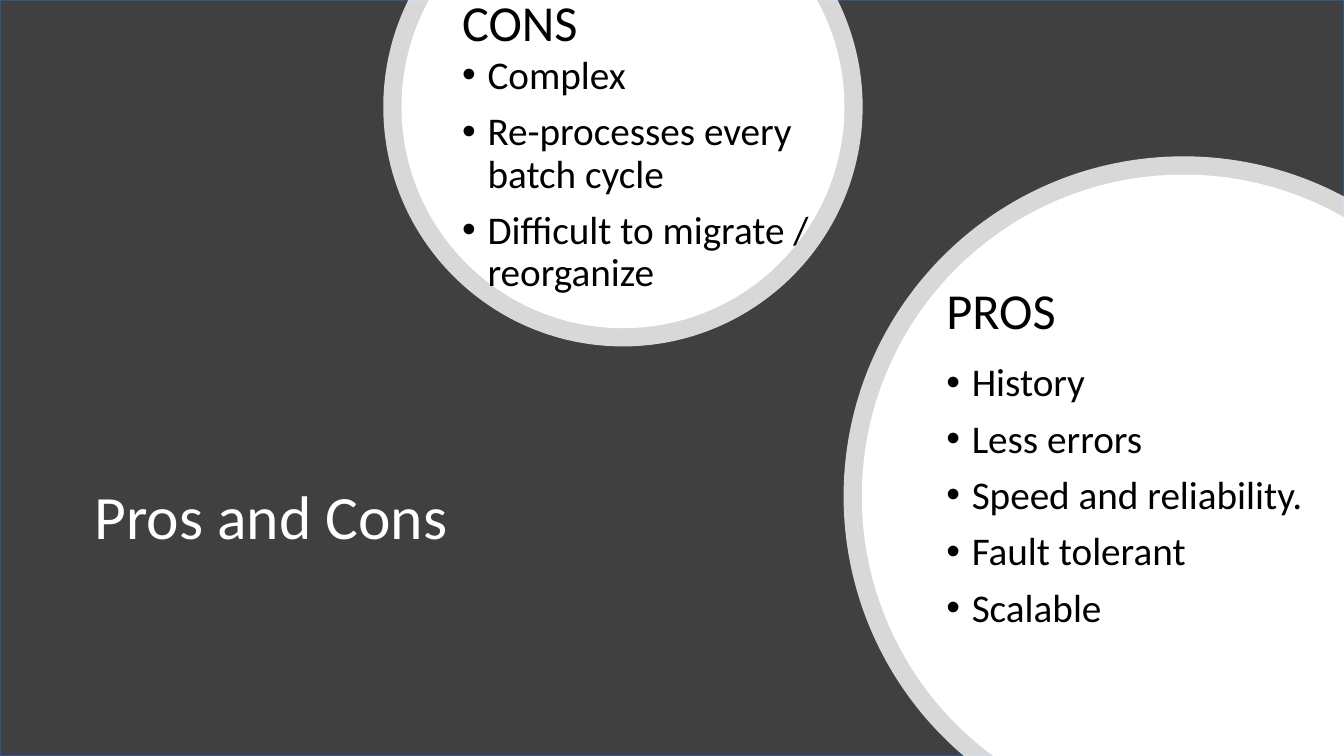
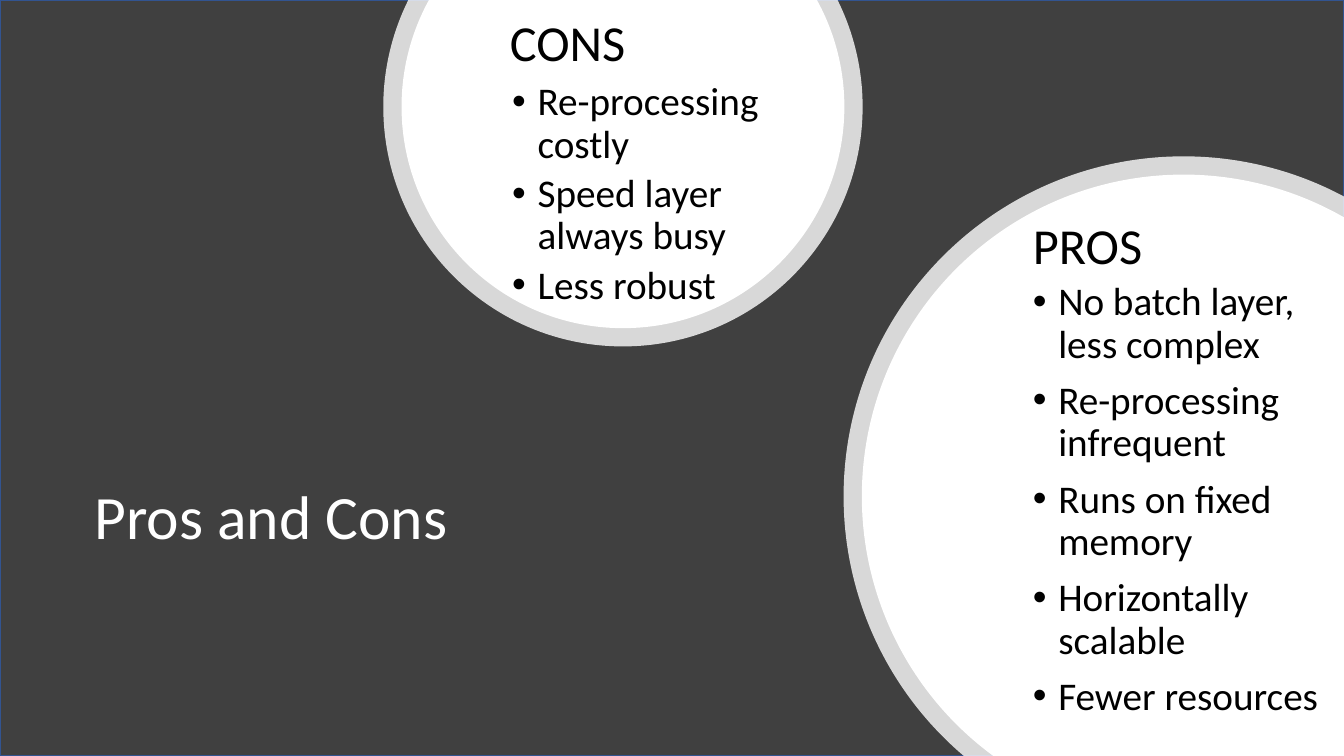
"""Build two pros-and-cons slides with overlapping circles on a dark ground."""
import math

import lxml.etree
import pptx
import pptx.dml.color
import pptx.enum.shapes
import pptx.enum.text
import pptx.oxml.ns
import pptx.util

Cm = pptx.util.Cm
Pt = pptx.util.Pt
qn = pptx.oxml.ns.qn

WIDTH, HEIGHT = 33.87, 19.05
FONT = "Calibri"
COLORS = {"ground": "404040", "edge": "325491", "light": "FFFFFF", "text": "000000"}
RING = 0.46
RING_OPACITY = 80
CONS_CIRCLE = (15.7, 2.69, 5.58)
PROS_CIRCLE = (29.83, 12.51, 8.11)
TITLE_BOX = (2.13, 9.73, 16.81, 6.73)
HANGING = 0.64

SLIDES = [
    {
        "title": "Pros and Cons",
        "lists": [
            {
                "heading": "CONS",
                "heading_box": (11.4, -0.36, 4.29, 1.8),
                "box": (11.4, 0.56, 10.11, 7.72),
                "margin": HANGING,
                "gap": 10,
                "items": [
                    "Complex",
                    "Re-processes every batch cycle",
                    "Difficult to migrate / reorganize",
                ],
            },
            {
                "heading": "PROS",
                "heading_box": (23.6, 6.91, 4.29, 1.8),
                "box": (23.6, 8.73, 10.01, 7.57),
                "margin": HANGING,
                "gap": 10,
                "items": [
                    "History",
                    "Less errors",
                    "Speed and reliability.",
                    "Fault tolerant",
                    "Scalable",
                ],
            },
        ],
    },
    {
        "title": "Pros and Cons",
        "lists": [
            {
                "heading": "CONS",
                "heading_box": (12.6, 0.15, 4.7, 1.8),
                "box": (11.38, 1.05, 9.65, 7.72),
                "margin": 3 * HANGING,
                "gap": 5,
                "items": [
                    "Re-processing costly",
                    "Speed layer always busy",
                    "Less robust",
                ],
            },
            {
                "heading": "PROS",
                "heading_box": (25.78, 5.28, 4.7, 1.8),
                "box": (25.78, 10.12, 8, 4.98),
                "margin": HANGING,
                "gap": 10,
                "items": [
                    "No batch layer, less complex",
                    "Re-processing infrequent",
                    "Runs on fixed memory",
                    "Horizontally scalable",
                    "Fewer resources",
                ],
            },
        ],
    },
]


def color(name):
    """Return the named colour."""
    return pptx.dml.color.RGBColor.from_string(COLORS[name])


def fill_shape(shape, name):
    """Give a shape a plain fill without shadow."""
    shape.shadow.inherit = False
    shape.fill.solid()
    shape.fill.fore_color.rgb = color(name)


def style_paragraph(para, size, name):
    """Set the font of a whole paragraph."""
    para.font.name = FONT
    para.font.size = Pt(size)
    para.font.color.rgb = color(name)


def add_ground(page):
    """Cover the page with the dark ground, behind everything else."""
    box = page.shapes.add_shape(
        pptx.enum.shapes.MSO_SHAPE.RECTANGLE, 0, 0, Cm(WIDTH), Cm(HEIGHT))
    fill_shape(box, "ground")
    box.line.color.rgb = color("edge")
    box.line.width = Pt(1)
    page.shapes.title._element.addprevious(box._element)


def set_title(page, text):
    """Move, fill and format the title placeholder."""
    title = page.shapes.title
    title.left, title.top, title.width, title.height = map(Cm, TITLE_BOX)
    frame = title.text_frame
    frame.text = text
    frame.vertical_anchor = pptx.enum.text.MSO_ANCHOR.MIDDLE
    para = frame.paragraphs[0]
    para.alignment = pptx.enum.text.PP_ALIGN.LEFT
    para.line_spacing = 0.9
    style_paragraph(para, 44, "light")


def bend_segments(shape, center, radius, stops):
    """Turn the first straight segments of an outline into circular arcs."""
    segments = shape._element.findall(".//" + qn("a:lnTo"))
    for segment, start, end in zip(segments, stops, stops[1:]):
        handle = 4 / 3 * math.tan((end - start) / 4)
        curve = lxml.etree.Element(qn("a:cubicBezTo"))
        for angle, reach in ((start, handle), (end, -handle)):
            across = center[0] + radius * (math.cos(angle) - reach * math.sin(angle))
            down = center[1] + radius * (math.sin(angle) + reach * math.cos(angle))
            lxml.etree.SubElement(
                curve, qn("a:pt"),
                x=str(Cm(across) - shape.left), y=str(Cm(down) - shape.top))
        curve.append(segment[0])
        segment.getparent().replace(segment, curve)


def add_cut_circle(page, center, radius, arc, corners=(), opacity=100):
    """Draw a light circle cut off at the page edges."""
    quarter = math.pi / 2
    first, last = math.floor(arc[0] / quarter) + 1, math.ceil(arc[1] / quarter)
    stops = [arc[0], *(turn * quarter for turn in range(first, last)), arc[1]]
    outline = [
        (center[0] + radius * math.cos(angle), center[1] + radius * math.sin(angle))
        for angle in stops
    ]
    points = [(Cm(across), Cm(down)) for across, down in [*outline, *corners]]
    builder = page.shapes.build_freeform(*points[0])
    builder.add_line_segments(points[1:], close=True)
    circle = builder.convert_to_shape()
    bend_segments(circle, center, radius, stops)
    fill_shape(circle, "light")
    circle.line.fill.background()
    if opacity < 100:
        tint = circle._element.spPr.find(".//" + qn("a:srgbClr"))
        lxml.etree.SubElement(tint, qn("a:alpha"), val=str(opacity * 1000))


def add_circles(page):
    """Draw both circles, the translucent rings first."""
    for ring, opacity in ((RING, RING_OPACITY), (0, 100)):
        *center, radius = CONS_CIRCLE
        radius += ring
        cut = math.asin(center[1] / radius)
        add_cut_circle(page, center, radius, (-cut, math.pi + cut), opacity=opacity)

        *center, radius = PROS_CIRCLE
        radius += ring
        bottom = math.pi - math.asin((HEIGHT - center[1]) / radius)
        right = 2 * math.pi - math.acos((WIDTH - center[0]) / radius)
        add_cut_circle(
            page, center, radius, (bottom, right), [(WIDTH, HEIGHT)], opacity)


def add_text_box(page, place):
    """Add a wrapping text box and return its frame."""
    frame = page.shapes.add_textbox(*map(Cm, place)).text_frame
    frame.word_wrap = True
    return frame


def add_heading(page, place, text):
    """Add the heading of a list."""
    frame = add_text_box(page, place)
    frame.text = text
    frame.auto_size = pptx.enum.text.MSO_AUTO_SIZE.SHAPE_TO_FIT_TEXT
    style_paragraph(frame.paragraphs[0], 36, "text")


def add_bullets(page, place, items, margin, gap):
    """Add a vertically centred bullet list."""
    frame = add_text_box(page, place)
    frame.text = "\n".join(items)
    frame.vertical_anchor = pptx.enum.text.MSO_ANCHOR.MIDDLE
    for para in frame.paragraphs:
        para.line_spacing = 0.9
        para.space_before = Pt(gap)
        style_paragraph(para, 28, "text")
        properties = para._p.get_or_add_pPr()
        properties.set("marL", str(Cm(margin)))
        properties.set("indent", str(-Cm(HANGING)))
        defaults = properties.find(qn("a:defRPr"))
        defaults.addprevious(lxml.etree.Element(qn("a:buFont"), typeface="Arial"))
        defaults.addprevious(lxml.etree.Element(qn("a:buChar"), char="•"))


def add_page(deck, content):
    """Add one slide with its circles, title and lists."""
    page = deck.slides.add_slide(deck.slide_layouts.get_by_name("Title Only"))
    add_ground(page)
    set_title(page, content["title"])
    add_circles(page)
    for group in content["lists"]:
        add_bullets(page, group["box"], group["items"], group["margin"], group["gap"])
    for group in content["lists"]:
        add_heading(page, group["heading_box"], group["heading"])


def main():
    """Build and save the deck."""
    deck = pptx.Presentation()
    deck.slide_width, deck.slide_height = Cm(WIDTH), Cm(HEIGHT)
    for content in SLIDES:
        add_page(deck, content)
    deck.save("out.pptx")


if __name__ == "__main__":
    main()
